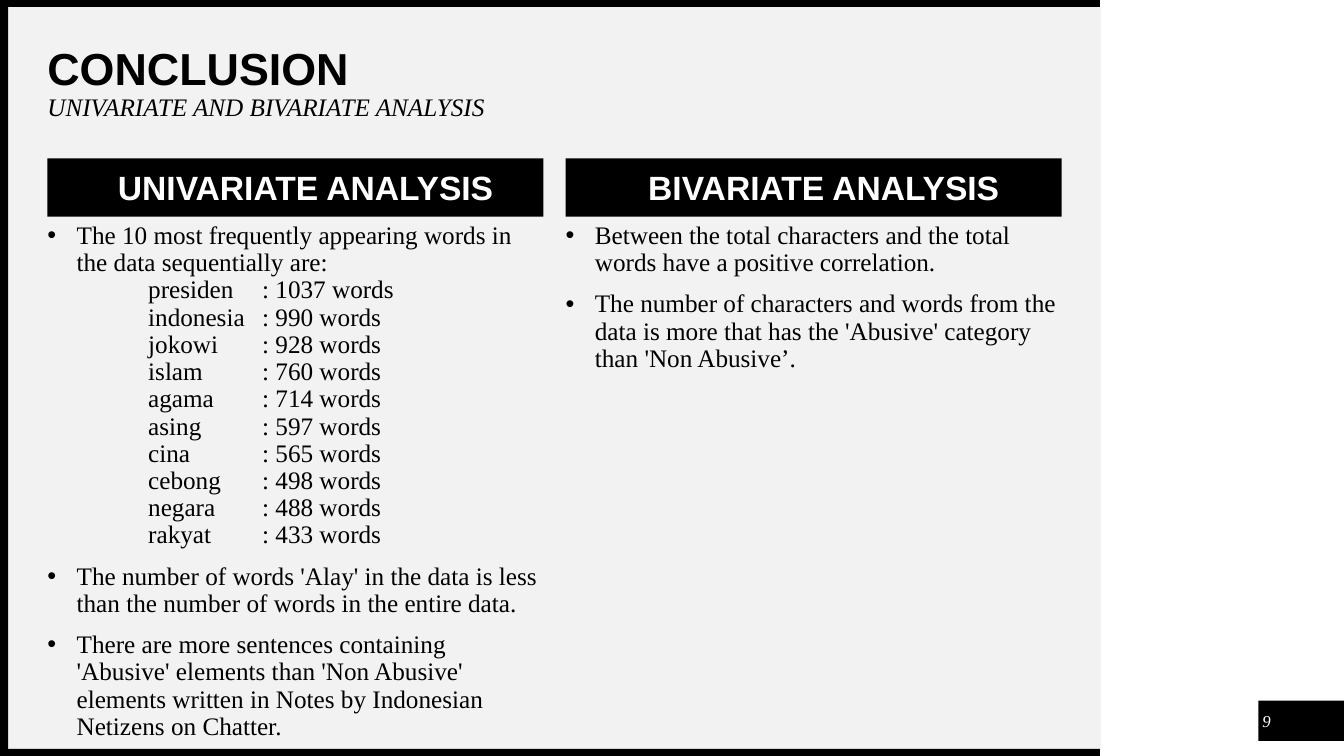
from lxml import etree
from pptx import Presentation
from pptx import util as u
from pptx.dml.color import RGBColor
from pptx.enum import shapes, text
from pptx.oxml import ns

BLACK = RGBColor(0x00, 0x00, 0x00)
WHITE = RGBColor(0xFF, 0xFF, 0xFF)
PANEL_GREY = RGBColor(0xF2, 0xF2, 0xF2)
HEADING_FONT = "Arial"
BODY_FONT = "Times New Roman"

LEFT_COLUMN, RIGHT_COLUMN = 0.47, 5.61
COLUMN_WIDTH = 4.92
TITLE_WIDTH = 10.06
BULLET_INDENT = 0.29
WORD_TAB, COUNT_TAB = 1, 2.13

WORD_COUNTS = {
    "presiden": 1037, "indonesia": 990, "jokowi": 928, "islam": 760, "agama": 714,
    "asing": 597, "cina": 565, "cebong": 498, "negara": 488, "rakyat": 433,
}
MOST_FREQUENT = "The 10 most frequently appearing words in the data sequentially are:"
UNIVARIATE_POINTS = [
    "The number of words 'Alay' in the data is less than the number of words in the entire data.",
    "There are more sentences containing 'Abusive' elements than 'Non Abusive' elements "
    "written in Notes by Indonesian Netizens on Chatter.",
]
BIVARIATE_POINTS = [
    "Between the total characters and the total words have a positive correlation.",
    "The number of characters and words from the data is more that has the 'Abusive' "
    "category than 'Non Abusive’.",
]


class SlideBuilder:
    def __init__(self, page):
        self.page = page

    def bar(self, left, top, width, height, color=BLACK):
        box = self.page.shapes.add_shape(
            shapes.MSO_SHAPE.RECTANGLE,
            u.Inches(left), u.Inches(top), u.Inches(width), u.Inches(height))
        box.shadow.inherit = False
        box.fill.solid()
        box.fill.fore_color.rgb = color
        box.line.fill.background()
        return box

    def frame(self, box, anchor, insets=(0, 0)):
        frame = box.text_frame
        frame.word_wrap = True
        frame.vertical_anchor = anchor
        frame.margin_left, frame.margin_top = (u.Inches(inset) for inset in insets)
        frame.margin_right = frame.margin_bottom = 0
        return frame

    def text_box(self, left, top, width, height, anchor=text.MSO_ANCHOR.TOP):
        box = self.page.shapes.add_textbox(
            u.Inches(left), u.Inches(top), u.Inches(width), u.Inches(height))
        return self.frame(box, anchor)

    def style_text(self, para, words, size=18, font=BODY_FONT, color=BLACK,
                   bold=False, italic=False, spacing=0.9):
        para.text = words
        para.line_spacing = spacing
        for span in para.runs:
            span.font.name = font
            span.font.size = u.Pt(size)
            span.font.color.rgb = color
            span.font.bold = bold
            span.font.italic = italic

    def header(self, left, words):
        box = self.bar(left, 1.57, COLUMN_WIDTH, 0.58)
        para = self.frame(box, text.MSO_ANCHOR.MIDDLE, (0.2, 0.04)).paragraphs[0]
        para.alignment = text.PP_ALIGN.CENTER
        self.style_text(para, words, 24, HEADING_FONT, WHITE, bold=True)

    def bullet(self, para, words, space_before=10):
        self.style_text(para, words)
        para.space_before = u.Pt(space_before)
        properties = para._p.get_or_add_pPr()
        properties.set("marL", str(u.Inches(BULLET_INDENT)))
        properties.set("indent", str(-u.Inches(BULLET_INDENT)))
        etree.SubElement(properties, ns.qn("a:buFont"), typeface="Arial")
        etree.SubElement(properties, ns.qn("a:buChar"), char="•")

    def word_count(self, para, word, count):
        self.style_text(para, f"\t{word}\t: {count} words")
        tabs = etree.SubElement(para._p.get_or_add_pPr(), ns.qn("a:tabLst"))
        for stop in (WORD_TAB, COUNT_TAB):
            etree.SubElement(tabs, ns.qn("a:tab"), pos=str(u.Inches(stop)), algn="l")

    def column(self, left, first_point):
        frame = self.text_box(left, 2.21, COLUMN_WIDTH, 4.56)
        self.bullet(frame.paragraphs[0], first_point, 0)
        return frame


def main():
    deck = Presentation()
    deck.slide_width, deck.slide_height = u.Inches(13.33), u.Inches(7.5)
    builder = SlideBuilder(deck.slides.add_slide(deck.slide_layouts[6]))

    builder.bar(0.08, 0.07, 10.84, 7.36, PANEL_GREY)
    builder.bar(12.48, 6.95, 0.85, 0.4)
    for top in (7.43, 0):
        builder.bar(0, top, 10.91, 0.07)
    builder.bar(0, 0.03, 0.08, 7.47)

    title = builder.text_box(LEFT_COLUMN, 0.47, TITLE_WIDTH, 0.47, text.MSO_ANCHOR.MIDDLE)
    builder.style_text(title.paragraphs[0], "CONCLUSION", 32, HEADING_FONT, bold=True)
    subtitle = builder.text_box(LEFT_COLUMN, 0.94, TITLE_WIDTH, 0.39)
    builder.style_text(subtitle.paragraphs[0], "UNIVARIATE AND BIVARIATE ANALYSIS", italic=True)

    builder.header(LEFT_COLUMN, "UNIVARIATE ANALYSIS")
    builder.header(RIGHT_COLUMN, "BIVARIATE ANALYSIS")

    univariate = builder.column(LEFT_COLUMN, MOST_FREQUENT)
    for word, count in WORD_COUNTS.items():
        builder.word_count(univariate.add_paragraph(), word, count)
    for point in UNIVARIATE_POINTS:
        builder.bullet(univariate.add_paragraph(), point)

    bivariate = builder.column(RIGHT_COLUMN, BIVARIATE_POINTS[0])
    for point in BIVARIATE_POINTS[1:]:
        builder.bullet(bivariate.add_paragraph(), point)

    number = builder.text_box(12.52, 7, 0.3, 0.3, text.MSO_ANCHOR.MIDDLE)
    builder.style_text(number.paragraphs[0], "9", 12, color=WHITE, italic=True, spacing=1.0)

    deck.save("out.pptx")


if __name__ == "__main__":
    main()
